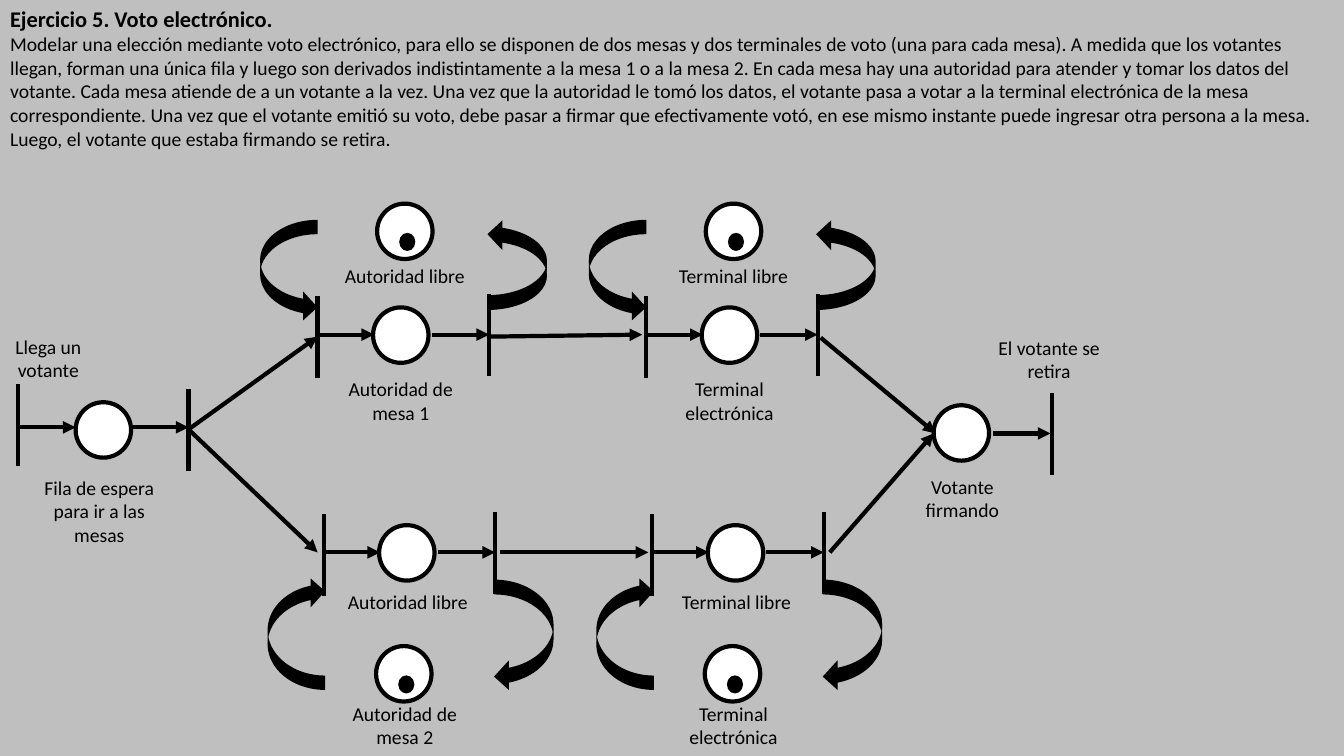
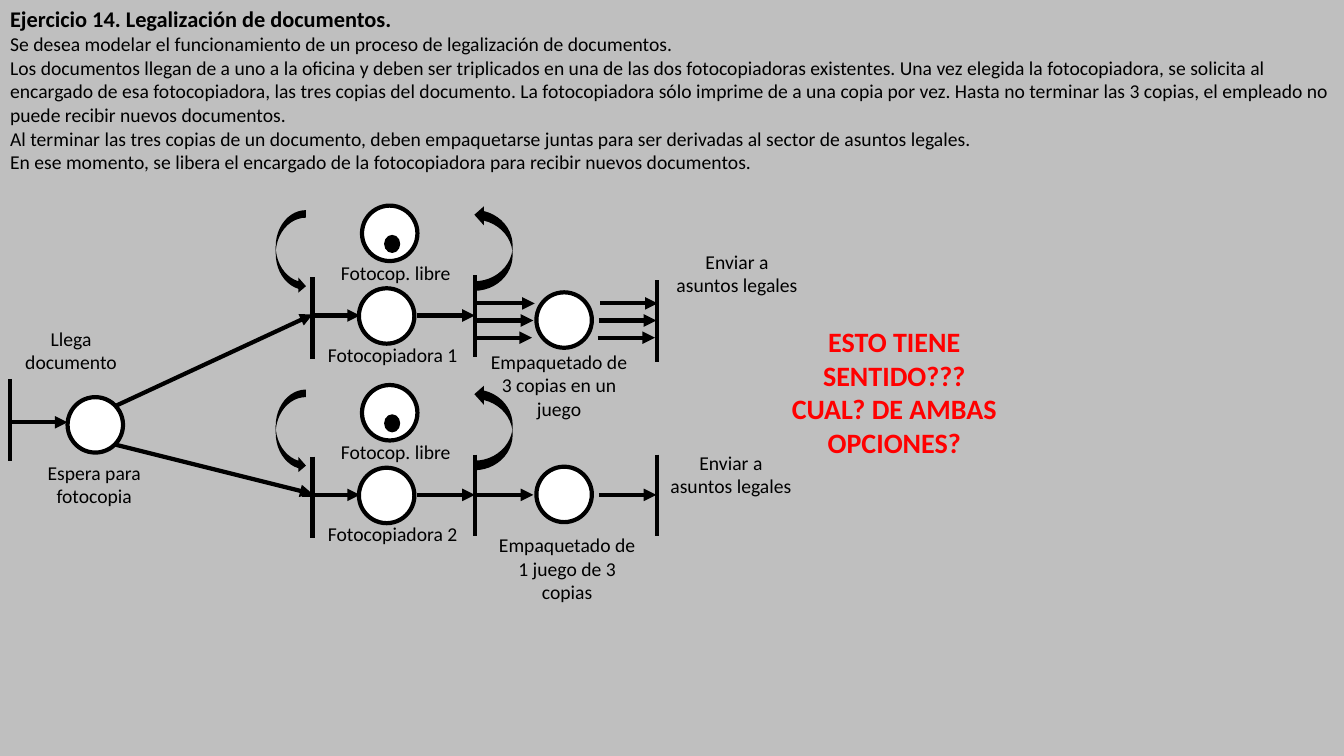
from dataclasses import dataclass

from lxml.etree import SubElement
from pptx import Presentation
from pptx.dml.color import RGBColor
from pptx.enum.shapes import MSO_CONNECTOR as Connector, MSO_SHAPE as Shape
from pptx.enum.text import MSO_ANCHOR as Anchor, MSO_AUTO_SIZE as AutoSize, PP_ALIGN as Align
from pptx.oxml.ns import qn
from pptx.util import Inches, Pt


@dataclass(frozen=True)
class Theme:
    background: RGBColor = RGBColor(0xBF, 0xBF, 0xBF)
    ink: RGBColor = RGBColor(0, 0, 0)
    paper: RGBColor = RGBColor(0xFF, 0xFF, 0xFF)
    warning: RGBColor = RGBColor(0xFF, 0, 0)
    font: str = "Calibri"
    title_size: int = 16
    text_size: int = 14
    question_size: int = 20
    stroke: int = 3


THEME = Theme()
WIDTH, HEIGHT = 13.33, 7.5
CIRCLE = 0.55
BAR = 0.81
ARROW = 0.57

TEXT = {"name": THEME.font, "size": Pt(THEME.text_size), "bold": False}
TITLE = TEXT | {"size": Pt(THEME.title_size), "bold": True}
QUESTION = TEXT | {"size": Pt(THEME.question_size), "bold": True}


@dataclass(frozen=True)
class StationLayout:
    """Offsets from the foot of the entry arrow; boxes are left, top, width, height."""
    width: float
    place: float
    resource: tuple
    entry_loop: tuple
    entry_flips: str
    exit_loop: tuple
    exit_flips: str
    upper_label: tuple
    lower_label: tuple


UPPER = StationLayout(1.7, 0.55, (0.59, -1.3),
                      (-0.79, -0.92, 1.01, 0.57), "V", (1.53, -0.99, 0.9, 0.59), "H",
                      (0.1, -0.75, 1.53, 0.34), (0.17, 0.37, 1.31, 0.57))
LOWER = StationLayout(1.7, 0.55, (0.52, 0.93),
                      (-0.83, 0.52, 1.12, 0.57), "HV", (1.43, 0.53, 1.11, 0.59), "",
                      (0.07, 0.32, 1.53, 0.34), (0.15, 1.43, 1.31, 0.57))
COPIER = StationLayout(1.61, 0.46, (0.49, -1.09),
                       (-0.63, -0.78, 0.83, 0.3), "V", (1.37, -0.86, 0.85, 0.38), "H",
                       (0.03, -0.59, 1.59, 0.34), (0, 0.22, 1.59, 0.34))


# Basic parts
def set_values(target, values):
    for name, value in values.items():
        setattr(target, name, value)


def place_in(shape, box):
    names = ("left", "top", "width", "height")
    set_values(shape, {name: Inches(value) for name, value in zip(names, box)})


def write(frame, paragraphs, style, color=THEME.ink, align=Align.CENTER):
    set_values(frame, {"word_wrap": True, "auto_size": AutoSize.NONE,
                       "vertical_anchor": Anchor.TOP})
    for index, text in enumerate(paragraphs):
        paragraph = frame.add_paragraph() if index else frame.paragraphs[0]
        set_values(paragraph, {"alignment": align, "space_before": Pt(0), "line_spacing": 1.0})
        run = paragraph.add_run()
        run.text = text
        set_values(run.font, style)
        run.font.color.rgb = color


def add_label(slide, box, text, style=TEXT, color=THEME.ink):
    label = slide.shapes.add_textbox(*map(Inches, box))
    write(label.text_frame, [text], style, color)


def add_line(slide, start, end, arrow=False):
    line = slide.shapes.add_connector(Connector.STRAIGHT, *map(Inches, (*start, *end)))
    line.line.color.rgb = THEME.ink
    line.line.width = Pt(THEME.stroke)
    if arrow:
        SubElement(line.line._get_or_add_ln(), qn("a:tailEnd"), type="triangle")
    SubElement(line.element.spPr, qn("a:effectLst"))


def add_arrow(slide, start, end):
    add_line(slide, start, end, arrow=True)


def add_bar(slide, x, top):
    add_line(slide, (x, top), (x, top + BAR))


def add_filled(slide, kind, box, color=THEME.ink, outlined=False):
    shape = slide.shapes.add_shape(kind, *map(Inches, box))
    shape.shadow.inherit = False
    shape.fill.solid()
    shape.fill.fore_color.rgb = color
    if outlined:
        shape.line.color.rgb = THEME.ink
        shape.line.width = Pt(THEME.stroke)
    else:
        shape.line.fill.background()
    return shape


def add_place(slide, left, top, token=False):
    add_filled(slide, Shape.OVAL, (left, top, CIRCLE, CIRCLE), THEME.paper, outlined=True)
    if token:
        add_filled(slide, Shape.OVAL, (left + 0.22, top + 0.29, 0.16, 0.18))


def add_loop(slide, box, flips):
    loop = add_filled(slide, Shape.CURVED_DOWN_ARROW, box)
    loop.rotation = 90
    for axis in flips:
        loop.element.spPr.find(qn("a:xfrm")).set(f"flip{axis}", "1")


# Regions of a net
def add_statement(slide, title, paragraphs, height):
    heading, body = slide.shapes.title, slide.placeholders[1]
    place_in(heading, (0, 0, WIDTH, 0.35))
    write(heading.text_frame, [title], TITLE, align=Align.LEFT)
    place_in(body, (0, 0.32, WIDTH, height))
    body.text_frame.margin_top = 0
    write(body.text_frame, paragraphs, TEXT, align=Align.LEFT)
    for paragraph in body.text_frame.paragraphs:
        properties = paragraph._p.get_or_add_pPr()
        properties.set("marL", "0")
        properties.set("indent", "0")
        SubElement(properties, qn("a:buNone"))


def add_arrival(slide, left, axis):
    add_place(slide, left + ARROW, axis - 0.25)
    add_bar(slide, left, axis - 0.43)
    add_arrow(slide, (left, axis), (left + ARROW, axis))


def add_station(slide, left, axis, layout, upper_text, lower_text, lead=0):
    def moved(box):
        return (left + box[0], axis + box[1], *box[2:])

    right = left + layout.width
    add_bar(slide, left, axis - 0.38)
    add_loop(slide, moved(layout.entry_loop), layout.entry_flips)
    add_loop(slide, moved(layout.exit_loop), layout.exit_flips)
    add_place(slide, *moved(layout.resource), token=True)
    add_place(slide, left + layout.place, axis - 0.27)
    add_arrow(slide, (left - lead, axis), (left + layout.place + 0.01, axis))
    add_arrow(slide, (right - ARROW, axis), (right, axis))
    add_bar(slide, right, axis - 0.4)
    add_label(slide, moved(layout.upper_label), upper_text)
    add_label(slide, moved(layout.lower_label), lower_text)


def add_lanes(slide, left, axis, lanes):
    for lane in lanes:
        x = left - 0.08 * lane
        add_arrow(slide, (x, axis + lane), (x + ARROW, axis + lane))


def add_departure(slide, left, axis, gap, lanes=(0,)):
    add_place(slide, left, axis - 0.28)
    add_lanes(slide, left + gap, axis, lanes)
    add_bar(slide, left + gap + ARROW + 0.01, axis - 0.4)


# Slides
def build_voting(slide):
    add_statement(slide, "Ejercicio 5. Voto electrónico.", [
        "Modelar una elección mediante voto electrónico, para ello se disponen de dos mesas y "
        "dos terminales de voto (una para cada mesa). A medida que los votantes llegan, forman "
        "una única fila y luego son derivados indistintamente a la mesa 1 o a la mesa 2. En cada "
        "mesa hay una autoridad para atender y tomar los datos del votante. Cada mesa atiende de "
        "a un votante a la vez. Una vez que la autoridad le tomó los datos, el votante pasa a "
        "votar a la terminal electrónica de la mesa correspondiente. Una vez que el votante "
        "emitió su voto, debe pasar a firmar que efectivamente votó, en ese mismo instante puede "
        "ingresar otra persona a la mesa. Luego, el votante que estaba firmando se retira."], 1.23)

    # Queue
    add_arrival(slide, 0.18, 4.24)
    add_arrow(slide, (1.3, 4.24), (1.87, 4.24))
    add_bar(slide, 1.87, 3.86)

    # Two tables, each with its authority and its terminal
    for left, axis, layout, table in ((3.15, 3.32, UPPER, 1), (3.21, 5.48, LOWER, 2)):
        add_station(slide, left, axis, layout, "Autoridad libre", f"Autoridad de mesa {table}")
        add_station(slide, left + 3.26, axis, layout, "Terminal libre", "Terminal electrónica")

    # Links between regions
    for start, end in (((1.87, 4.26), (3.15, 3.34)), ((1.87, 4.26), (3.15, 5.48)),
                       ((4.83, 3.34), (6.37, 3.32)), ((4.96, 5.48), (6.43, 5.48)),
                       ((8.14, 3.35), (9.28, 4.3)), ((8.23, 5.48), (9.26, 4.3))):
        add_arrow(slide, start, end)

    # Signature and way out
    add_departure(slide, 9.26, 4.3, 0.59)
    for box, text in (((0, 3.27, 0.96, 0.57), "Llega un votante"),
                      ((0.18, 4.67, 1.61, 0.81), "Fila de espera para ir a las mesas"),
                      ((8.89, 4.66, 1.31, 0.57), "Votante firmando"),
                      ((9.75, 3.28, 1.31, 0.57), "El votante se retira")):
        add_label(slide, box, text)


def build_documents(slide):
    add_statement(slide, "Ejercicio 14. Legalización de documentos.", [
        "Se desea modelar el funcionamiento de un proceso de legalización de documentos.",
        "Los documentos llegan de a uno a la oficina y deben ser triplicados en una de las dos "
        "fotocopiadoras existentes. Una vez elegida la fotocopiadora, se solicita al encargado "
        "de esa fotocopiadora, las tres copias del documento. La fotocopiadora sólo imprime de a "
        "una copia por vez. Hasta no terminar las 3 copias, el empleado no puede recibir nuevos "
        "documentos.",
        "Al terminar las tres copias de un documento, deben empaquetarse juntas para ser "
        "derivadas al sector de asuntos legales.",
        "En ese momento, se libera el encargado de la fotocopiadora para recibir nuevos "
        "documentos."], 1.46)

    # Waiting documents
    add_arrival(slide, 0.1, 4.19)
    add_arrow(slide, (1.14, 4.03), (3.1, 3.12))
    add_arrow(slide, (1.14, 4.41), (3.1, 4.9))

    # Two copiers, with three single copies or one set of three
    for number, axis, pack_axis, lanes, lead in ((1, 3.13, 3.18, (-0.17, 0, 0.17), 0.03),
                                                 (2, 4.91, 4.91, (0,), 0.1)):
        add_station(slide, 3.1, axis, COPIER, "Fotocop. libre", f"Fotocopiadora {number}", lead)
        add_lanes(slide, 4.72, pack_axis, lanes)
        add_departure(slide, 5.32, pack_axis, 0.62, lanes)

    # Labels
    for box, text in (((0.07, 3.19, 1.27, 0.57), "Llega documento"),
                      ((0.28, 4.52, 1.31, 0.57), "Espera para fotocopia"),
                      ((4.75, 3.42, 1.59, 0.81), "Empaquetado de 3 copias en un juego"),
                      ((4.83, 5.24, 1.59, 0.81), "Empaquetado de 1 juego de 3 copias"),
                      ((6.59, 2.43, 1.44, 0.57), "Enviar a asuntos legales"),
                      ((6.53, 4.42, 1.44, 0.57), "Enviar a asuntos legales")):
        add_label(slide, box, text)
    add_label(slide, (7.7, 3.17, 2.34, 1.45),
              "ESTO TIENE SENTIDO??? CUAL? DE AMBAS OPCIONES?", QUESTION, THEME.warning)


def main():
    presentation = Presentation()
    presentation.slide_width, presentation.slide_height = Inches(WIDTH), Inches(HEIGHT)
    background = presentation.slide_master.background.fill
    background.solid()
    background.fore_color.rgb = THEME.background
    for build in (build_voting, build_documents):
        build(presentation.slides.add_slide(presentation.slide_layouts[1]))
    presentation.save("out.pptx")


if __name__ == "__main__":
    main()
